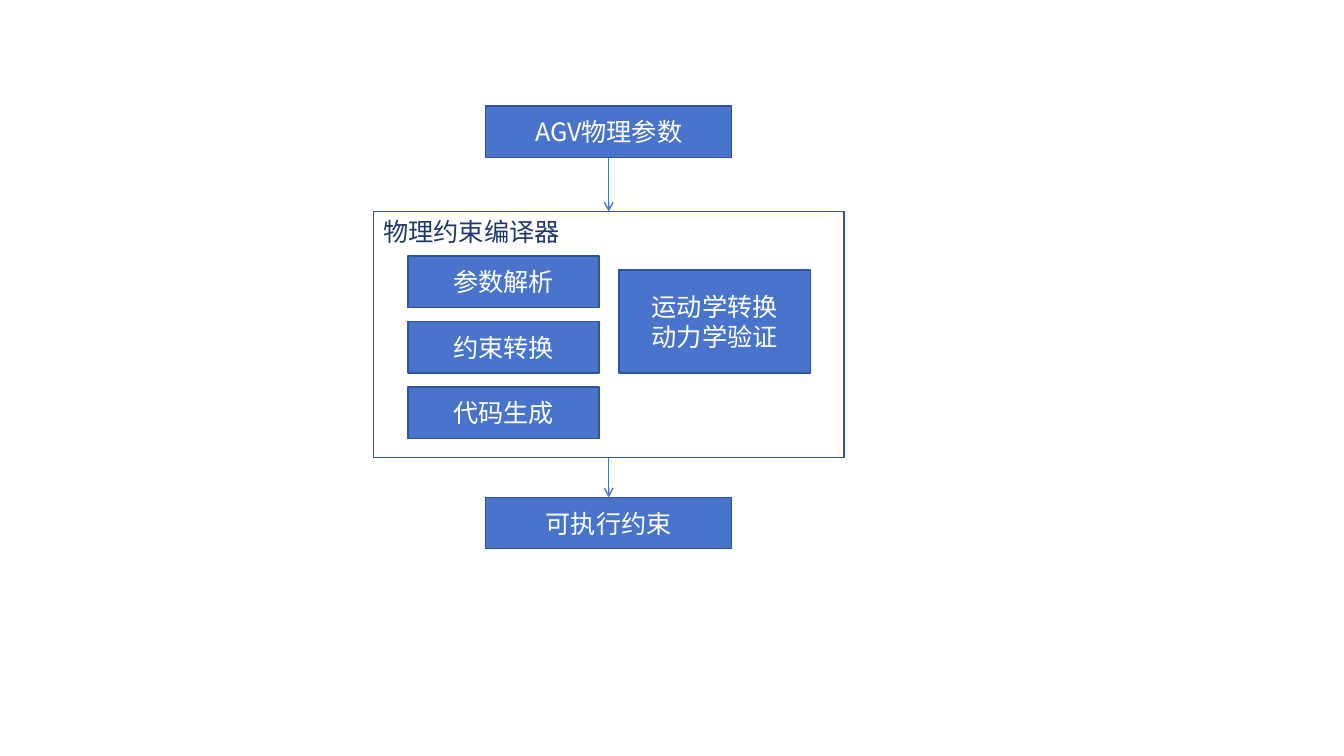
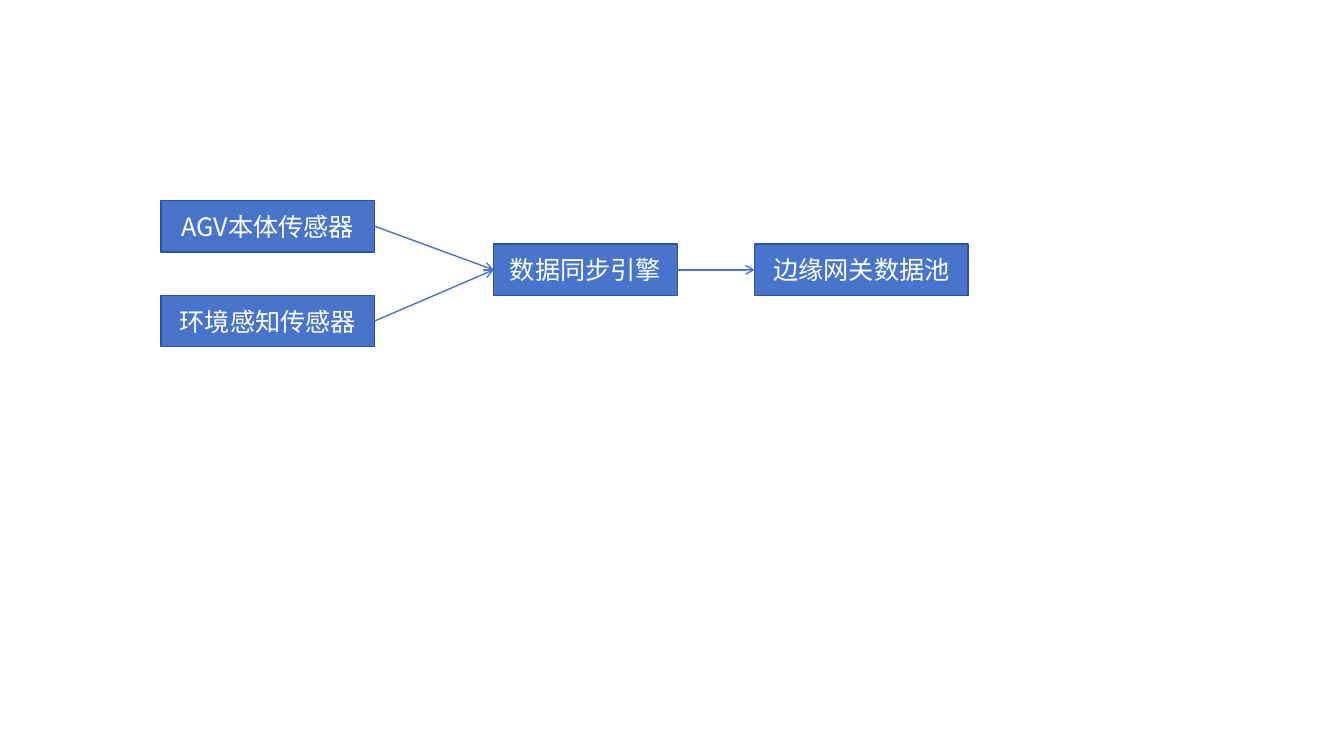
from dataclasses import dataclass

from lxml import etree
from pptx import Presentation
from pptx import util as u
from pptx.dml.color import RGBColor
from pptx.enum import lang, shapes, text
from pptx.oxml import ns

# Shared look
BLUE = RGBColor(0x48, 0x74, 0xCB)
EDGE = RGBColor(0x2E, 0x54, 0xA1)
NAVY = RGBColor(0x1E, 0x38, 0x6B)
WHITE = RGBColor(0xFF, 0xFF, 0xFF)
FONT = "Noto Sans CJK JP"
SIZE = u.Pt(18)
LINE = u.Pt(1)
BOX_H = 1.3
TOP, LEFT, BOTTOM, RIGHT = range(4)


@dataclass(frozen=True)
class Box:
    """A labelled rectangle, in centimetres; a frame is unfilled."""
    lines: tuple[str, ...]
    x: float
    y: float
    w: float
    h: float = BOX_H
    frame: bool = False


def add_run(p, label: str, color: RGBColor) -> None:
    r = p.add_run()
    r.text = label
    r.font.size = SIZE
    r.font.name = FONT
    r.font.color.rgb = color
    r.font.language_id = lang.MSO_LANGUAGE_ID.SIMPLIFIED_CHINESE
    ea = etree.SubElement(r.font._element, ns.qn("a:ea"))
    ea.set("typeface", FONT)


def add_box(s, box: Box):
    sp = s.shapes.add_shape(shapes.MSO_SHAPE.RECTANGLE, u.Cm(box.x),
                            u.Cm(box.y), u.Cm(box.w), u.Cm(box.h))
    sp.shadow.inherit = False
    sp.line.color.rgb = EDGE
    sp.line.width = LINE
    if box.frame:
        sp.fill.background()
        color, align, anchor = NAVY, text.PP_ALIGN.LEFT, text.MSO_ANCHOR.TOP
    else:
        sp.fill.solid()
        sp.fill.fore_color.rgb = BLUE
        color, align, anchor = WHITE, text.PP_ALIGN.CENTER, text.MSO_ANCHOR.MIDDLE
    tf = sp.text_frame
    tf.word_wrap = True
    tf.vertical_anchor = anchor
    for i, label in enumerate(box.lines):
        p = tf.add_paragraph() if i else tf.paragraphs[0]
        p.alignment = align
        add_run(p, label, color)
    return sp


def add_arrow(s, start, start_side: int, end, end_side: int) -> None:
    cx = s.shapes.add_connector(shapes.MSO_CONNECTOR.STRAIGHT, 0, 0, 0, 0)
    cx.begin_connect(start, start_side)
    cx.end_connect(end, end_side)
    cx.line.color.rgb = BLUE
    cx.line.width = LINE
    ln = cx.line._get_or_add_ln()
    etree.SubElement(ln, ns.qn("a:tailEnd")).set("type", "arrow")
    etree.SubElement(cx._element.spPr, ns.qn("a:effectLst"))


def build_compiler(s) -> None:
    """Parameters pass down through the compiler to constraints."""
    mid, end_w, frame_w = 15.34, 6.2, 11.86
    end_x = mid - end_w / 2
    source = add_box(s, Box(("AGV物理参数",), end_x, 2.67, end_w))
    compiler = add_box(s, Box(("物理约束编译器",), mid - frame_w / 2, 5.33,
                              frame_w, 6.2, frame=True))
    result = add_box(s, Box(("可执行约束",), end_x, 12.53, end_w))

    # Steps inside the compiler
    step_w, pitch = 4.82, 1.65
    for i, label in enumerate(("参数解析", "约束转换", "代码生成")):
        add_box(s, Box((label,), 10.28, 6.45 + i * pitch, step_w))
    add_box(s, Box(("运动学转换", "动力学验证"), 15.6, 6.8, step_w, 2 * BOX_H))

    add_arrow(s, source, BOTTOM, compiler, TOP)
    add_arrow(s, compiler, BOTTOM, result, TOP)


def build_data_flow(s) -> None:
    """Two sensor groups feed the sync engine and then the pool."""
    wide, row_y = 5.38, 6.15
    sensors = [add_box(s, Box((label,), 4.06, y, wide))
               for label, y in (("AGV本体传感器", 5.05), ("环境感知传感器", 7.44))]
    engine = add_box(s, Box(("数据同步引擎",), 12.44, row_y, 4.63))
    pool = add_box(s, Box(("边缘网关数据池",), 19.02, row_y, wide))

    for sensor in sensors:
        add_arrow(s, sensor, RIGHT, engine, LEFT)
    add_arrow(s, engine, RIGHT, pool, LEFT)


def main() -> None:
    prs = Presentation()
    prs.slide_width, prs.slide_height = u.Cm(33.87), u.Cm(19.05)
    blank = prs.slide_layouts[6]
    for build in (build_compiler, build_data_flow):
        build(prs.slides.add_slide(blank))
    prs.save("out.pptx")


if __name__ == "__main__":
    main()
